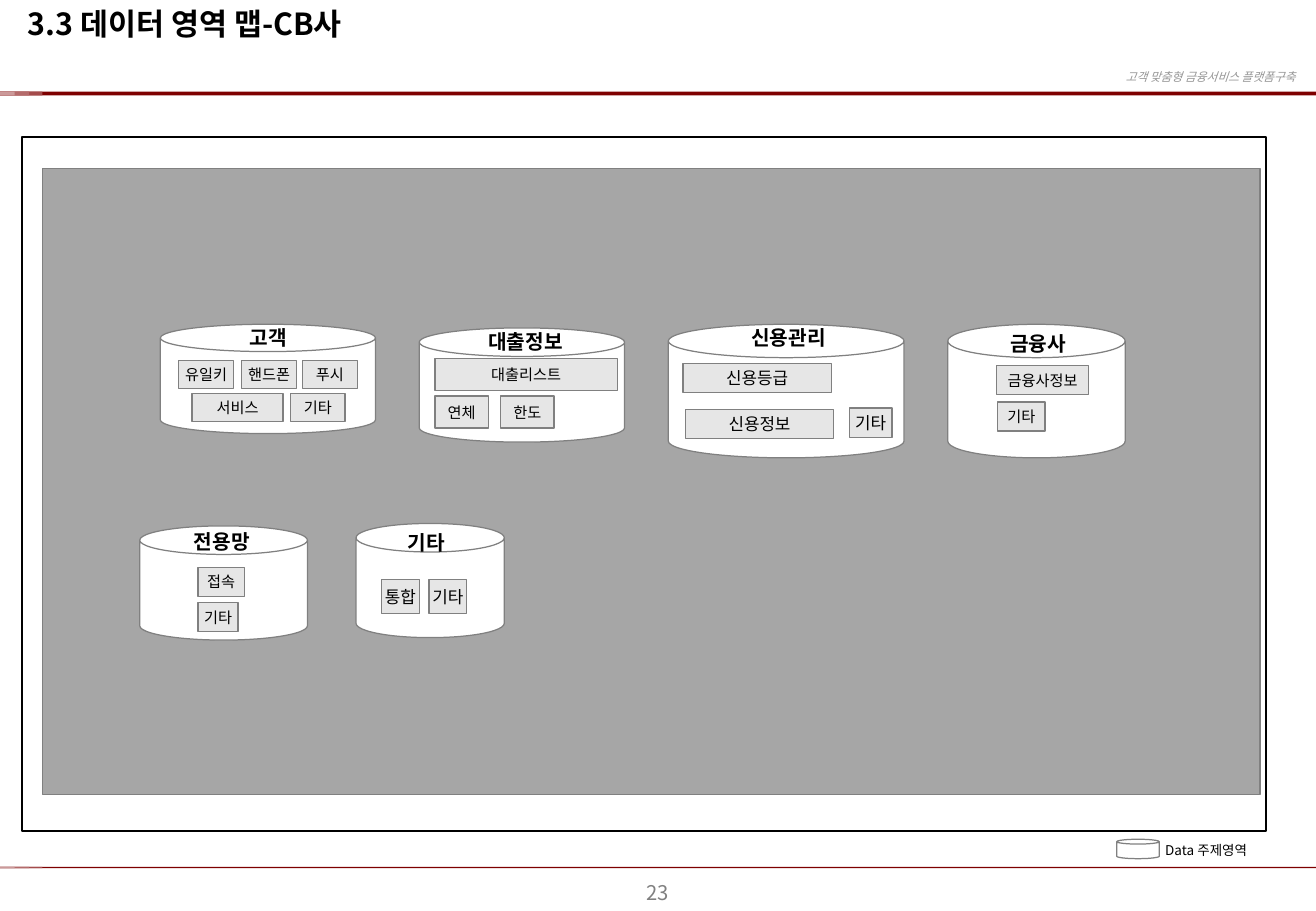
from dataclasses import dataclass

import pptx
import pptx.dml.color
import pptx.enum.shapes
import pptx.enum.text
import pptx.oxml
import pptx.oxml.ns
import pptx.util

Kind = pptx.enum.shapes.MSO_SHAPE
Align = pptx.enum.text.PP_ALIGN
Anchor = pptx.enum.text.MSO_ANCHOR

# The slide is a grid of 108.3 columns by 75 rows.
COLS, ROWS = 108.3, 75
WIDTH, HEIGHT = pptx.util.Inches(10.83), pptx.util.Inches(7.5)
FONT = "Noto Sans CJK KR"
HUES = {
    "black": "000000", "white": "FFFFFF", "edge": "808080", "panel": "A6A6A6",
    "item": "E6E6E6", "note": "969696", "red": "7E0000", "rose": "A44B4B",
    "pink": "B46B6B", "pale": "CB9999",
}


@dataclass
class Box:
    """Left, top, width and height in grid columns and rows."""
    x: float
    y: float
    w: float
    h: float

    def place(self) -> tuple[int, int, int, int]:
        return (round(self.x / COLS * WIDTH), round(self.y / ROWS * HEIGHT),
                round(self.w / COLS * WIDTH), round(self.h / ROWS * HEIGHT))


@dataclass
class Item:
    text: str
    x: float
    y: float
    w: float


@dataclass
class Store:
    """A can with its label and its items, which share a height and text size."""
    name: str
    can: Box
    label: Box
    tall: float
    size: float
    items: list[Item]


STORES = [
    Store("전용망", Box(11.5, 43.3, 13.8, 9.4), Box(14.7, 43.1, 7.1, 3), 2.4, 9,
          [Item("접속", 16.3, 46.7, 3.8), Item("기타", 16.3, 49.6, 3.3)]),
    Store("신용관리", Box(55, 26.7, 19.4, 11), Box(60.5, 26.3, 8.8, 3), 2.4, 10,
          [Item("신용등급", 56.2, 29.9, 12.2), Item("신용정보", 56.4, 33.7, 12.2),
           Item("기타", 69.9, 33.6, 3.5)]),
    Store("금융사", Box(78, 26.7, 14.6, 11), Box(78.8, 26.8, 13.3, 3), 2.4, 9,
          [Item("금융사정보", 82, 30.1, 7.6), Item("기타", 82.1, 33.1, 3.9)]),
    Store("고객", Box(13.2, 26.7, 17.7, 9), Box(18.7, 26.3, 6.8, 3), 2.3, 9,
          [Item("유일키", 14.7, 29.7, 4.5), Item("핸드폰", 19.9, 29.7, 4.5),
           Item("푸시", 24.9, 29.7, 4.5), Item("기타", 23.9, 32.4, 4.5),
           Item("서비스", 15.8, 32.4, 7.5)]),
    Store("대출정보", Box(34.5, 27, 16.9, 9.4), Box(36.3, 26.6, 13.9, 3), 2.65, 9,
          [Item("연체", 35.8, 32.6, 4.4), Item("한도", 41.2, 32.6, 4.4),
           Item("대출리스트", 35.8, 29.5, 15)]),
    Store("기타", Box(29.3, 43.1, 12.2, 9.4), Box(32.4, 43.2, 5.4, 3), 2.8, 10,
          [Item("통합", 31.4, 47.7, 3.1), Item("기타", 35.3, 47.7, 3.1)]),
]
STRIPES = [("red", COLS), ("rose", 3.5), ("pink", 2.4), ("pale", 1.2)]


def hue(name: str) -> pptx.dml.color.RGBColor:
    return pptx.dml.color.RGBColor.from_string(HUES[name])


def write(frame, text: str, size: float, tint: str = "black",
          align=Align.CENTER, bold: bool = False, slant: bool = False) -> None:
    para = frame.paragraphs[0]
    para.alignment = align
    run = para.add_run()
    run.text = text
    font = run.font
    font.size, font.bold, font.italic = pptx.util.Pt(size), bold, slant
    font.color.rgb = hue(tint)
    font.name = FONT
    east = pptx.oxml.parse_xml(
        f'<a:ea {pptx.oxml.ns.nsdecls("a")} typeface="{FONT}"/>')
    font._element.find(pptx.oxml.ns.qn("a:latin")).addnext(east)


def draw(slide, kind, box: Box, fill: str = "", line: str = "", thick: float = 0.75):
    shape = slide.shapes.add_shape(kind, *box.place())
    shape.shadow.inherit = False
    if fill:
        shape.fill.solid()
        shape.fill.fore_color.rgb = hue(fill)
    else:
        shape.fill.background()
    if line:
        shape.line.color.rgb = hue(line)
        shape.line.width = pptx.util.Pt(thick)
    else:
        shape.line.fill.background()
    return shape


def note(slide, box: Box, text: str, size: float, wrap: bool = False, **style) -> None:
    """Adds a text box that shows one line at mid height."""
    frame = slide.shapes.add_textbox(*box.place()).text_frame
    frame.word_wrap = wrap
    frame.vertical_anchor = Anchor.MIDDLE
    write(frame, text, size, **style)


def head(slide, text: str) -> None:
    title = slide.shapes.title
    title.left, title.top, title.width, title.height = Box(1.3, -0.1, 97.5, 7.6).place()
    title.text_frame.vertical_anchor = Anchor.TOP
    write(title.text_frame, text, 18, align=Align.LEFT, bold=True)
    hang = pptx.util.Inches(0.39)
    props = title.text_frame.paragraphs[0]._p.get_or_add_pPr()
    props.set("marL", str(hang))
    props.set("indent", str(-hang))


def rule(slide, y: float, tall: float) -> None:
    for tint, wide in STRIPES:
        draw(slide, Kind.RECTANGLE, Box(0, y, wide, tall), tint)


def stock(slide, store: Store) -> None:
    """Draws a can, its label and its items."""
    draw(slide, Kind.CAN, store.can, "white", "edge")
    note(slide, store.label, store.name, 12, bold=True)
    for item in store.items:
        box = Box(item.x, item.y, item.w, store.tall)
        frame = draw(slide, Kind.RECTANGLE, box, "item", "edge").text_frame
        frame.margin_left = frame.margin_right = 0
        frame.vertical_anchor = Anchor.MIDDLE
        write(frame, item.text, store.size)


def main() -> None:
    deck = pptx.Presentation()
    deck.slide_width, deck.slide_height = WIDTH, HEIGHT
    slide = deck.slides.add_slide(deck.slide_layouts[5])

    head(slide, "3.3 데이터 영역 맵-CB사")
    note(slide, Box(87.6, 5.2, 20, 2.2), "고객 맞춤형 금융서비스 플랫폼구축", 7,
         wrap=True, tint="note", align=Align.RIGHT, slant=True)
    rule(slide, 7.55, 0.3)
    rule(slide, 71.37, 0.12)
    note(slide, Box(41.5, 72, 25.3, 2.9), "23", 12, wrap=True, tint="edge")

    draw(slide, Kind.RECTANGLE, Box(3.5, 13.9, 100.2, 51.5), "panel", "edge")
    draw(slide, Kind.RECTANGLE, Box(1.8, 11.3, 102.4, 57.1), line="black", thick=1)
    draw(slide, Kind.CAN, Box(91.9, 69.1, 3.5, 1.6), "white", "edge")
    note(slide, Box(94.9, 68.8, 9.3, 2.4), "Data 주제영역", 8, align=Align.LEFT)
    for store in STORES:
        stock(slide, store)

    deck.save("out.pptx")


if __name__ == "__main__":
    main()
